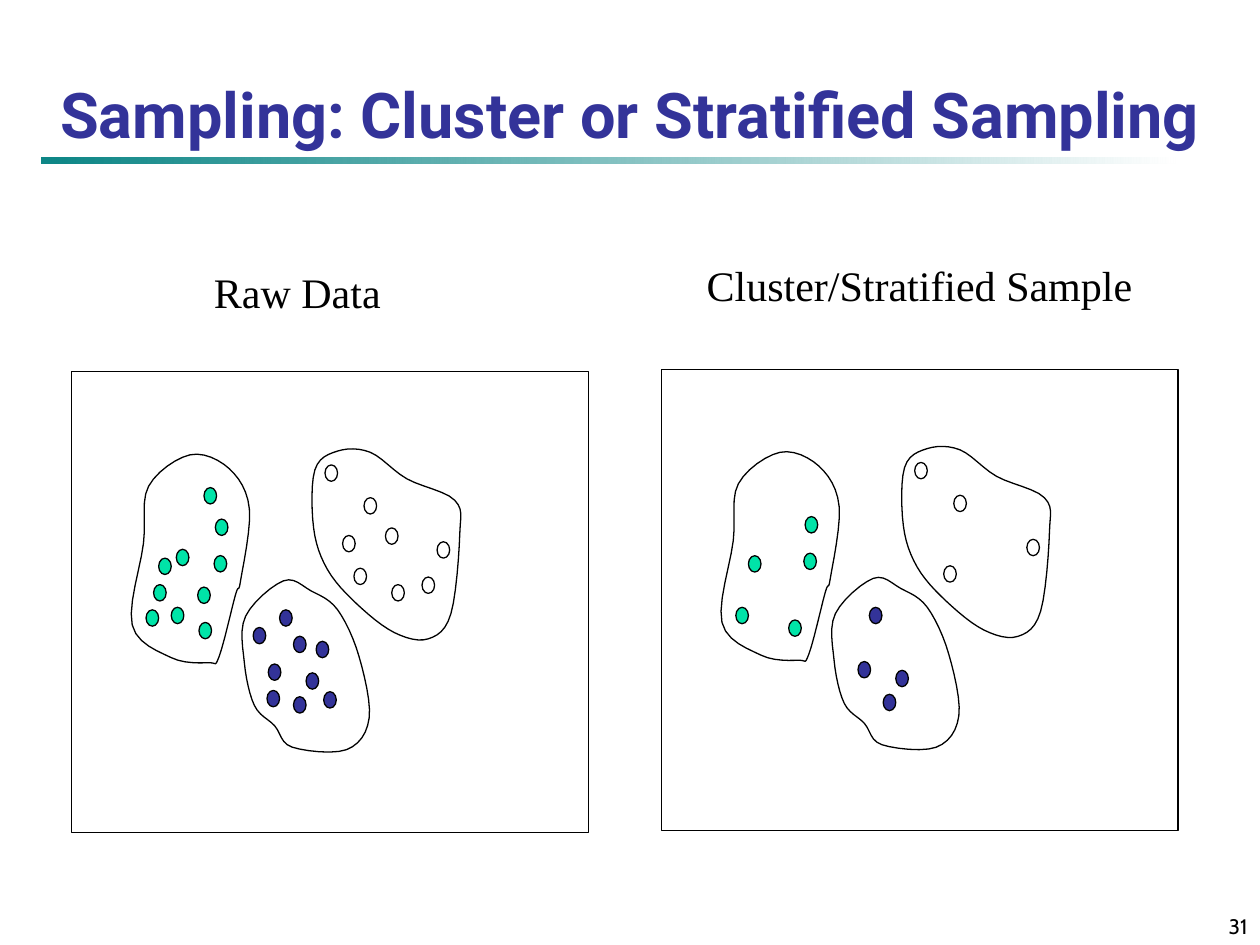
from lxml import etree
from pptx import Presentation
from pptx.dml.color import RGBColor
from pptx.enum.shapes import MSO_SHAPE
from pptx.enum.text import MSO_ANCHOR, PP_ALIGN
from pptx.oxml.ns import qn
from pptx.util import Pt

RECTANGLE = MSO_SHAPE.RECTANGLE
DOT = MSO_SHAPE.FLOWCHART_CONNECTOR
BOTTOM, TOP = MSO_ANCHOR.BOTTOM, MSO_ANCHOR.TOP
LEFT, CENTER, RIGHT = PP_ALIGN.LEFT, PP_ALIGN.CENTER, PP_ALIGN.RIGHT

COLORS = {
    "title": "333399",
    "rule": "008080",
    "white": "FFFFFF",
    "black": "000000",
    "blue": "333399",
    "green": "00E4A8",
}

PANEL_WIDTH, PANEL_HEIGHT = 295.2, 263.52
GRID_COLUMNS = 410
DOT_COLUMNS, DOT_ROWS = 10, 13
CURVE_STEPS = 6

CLUSTERS = [
    {
        "color": "white",
        "sampled": [(232, 100), (224, 156), (290, 135), (201, 74)],
        "unsampled": [(249, 124), (215, 130), (278, 163), (254, 169)],
        "outline": [(304, 102), (308, 129), (301, 192), (283, 212), (256, 207),
                    (226, 184), (203, 157), (192, 124), (193, 78), (211, 63),
                    (237, 64), (266, 85)],
    },
    {
        "color": "blue",
        "sampled": [(176, 258), (186, 239), (156, 232), (165, 189)],
        "unsampled": [(144, 203), (194, 214), (155, 253), (176, 210), (200, 254)],
        "outline": [(161, 281), (145, 265), (137, 231), (138, 194), (168, 166),
                    (190, 174), (211, 189), (228, 226), (236, 275), (218, 300),
                    (175, 298)],
    },
    {
        "color": "green",
        "sampled": [(59, 189), (69, 148), (101, 199), (113, 146), (114, 117)],
        "unsampled": [(79, 187), (65, 169), (100, 171), (83, 141), (105, 92)],
        "outline": [(130, 177), (117, 226), (109, 231), (79, 227), (48, 201),
                    (57, 136), (61, 91), (94, 66), (125, 77), (141, 109),
                    (134, 166)],
    },
]


def color(name):
    return RGBColor.from_string(COLORS[name])


def style_shape(shape, fill=None):
    shape.shadow.inherit = False
    if fill:
        shape.fill.solid()
        shape.fill.fore_color.rgb = color(fill)
    else:
        shape.fill.background()
    shape.line.color.rgb = color("black")
    shape.line.width = Pt(0.75)


def add_text(slide, box, text, font_name, size, color_name="black",
             alignment=LEFT, anchor=TOP, bold=False, wrap=True):
    frame = slide.shapes.add_textbox(*map(Pt, box)).text_frame
    frame.word_wrap = wrap
    frame.vertical_anchor = anchor
    paragraph = frame.paragraphs[0]
    paragraph.text = text
    paragraph.alignment = alignment
    paragraph.font.name = font_name
    paragraph.font.size = Pt(size)
    paragraph.font.bold = bold
    paragraph.font.color.rgb = color(color_name)


def spline(before, start, end, after, t):
    return start + t / 2 * (
        end - before
        + t * (2 * before - 5 * start + 4 * end - after)
        + t * t * (3 * (start - end) + after - before)
    )


def smooth_outline(anchors):
    count = len(anchors)
    points = []
    for index in range(count):
        nearby = [anchors[(index + shift) % count] for shift in range(-1, 3)]
        for step in range(CURVE_STEPS):
            points.append(tuple(
                spline(*values, step / CURVE_STEPS) for values in zip(*nearby)))
    return points


def add_title(slide, left, top, width, height):
    rule = slide.shapes.add_shape(
        RECTANGLE, Pt(left + 6), Pt(top + height), Pt(648), Pt(3.6))
    rule.shadow.inherit = False
    rule.line.fill.background()
    rule.fill.gradient()
    rule.fill.gradient_angle = 0
    for stop, name in zip(rule.fill.gradient_stops, ("rule", "white")):
        stop.color.rgb = color(name)
    first_color = next(rule.element.spPr.iter(qn("a:srgbClr")))
    etree.SubElement(first_color, qn("a:alpha"), val="95000")
    add_text(slide, (left, top, width, height),
             "Sampling: Cluster or Stratified Sampling", "Roboto", 36,
             "title", CENTER, BOTTOM, bold=True)


def add_panel(slide, left, top, sampled_only):
    unit = PANEL_WIDTH / GRID_COLUMNS

    def place(point):
        return Pt(left + point[0] * unit), Pt(top + point[1] * unit)

    frame = slide.shapes.add_shape(
        RECTANGLE, Pt(left), Pt(top), Pt(PANEL_WIDTH), Pt(PANEL_HEIGHT))
    style_shape(frame)
    for cluster in CLUSTERS:
        dots = cluster["sampled"] + ([] if sampled_only else cluster["unsampled"])
        for dot in dots:
            shape = slide.shapes.add_shape(
                DOT, *place(dot), Pt(DOT_COLUMNS * unit), Pt(DOT_ROWS * unit))
            style_shape(shape, cluster["color"])
        points = [place(point) for point in smooth_outline(cluster["outline"])]
        builder = slide.shapes.build_freeform(*points[0])
        builder.add_line_segments(points[1:], close=True)
        style_shape(builder.convert_to_shape())


def main():
    presentation = Presentation()
    presentation.slide_width = Pt(720)
    presentation.slide_height = Pt(540)
    slide = presentation.slides.add_slide(presentation.slide_layouts[6])
    add_title(slide, 18, 24, 684, 66)
    add_panel(slide, 41, 212.4, sampled_only=False)
    add_panel(slide, 378, 211, sampled_only=True)
    for box, text in (
        ((115.2, 149, 115.2, 36), "Raw Data"),
        ((396.7, 144.7, 257.8, 36), "Cluster/Stratified Sample"),
    ):
        add_text(slide, box, text, "Times New Roman", 24, wrap=False)
    add_text(slide, (570, 510, 150, 30), "31", "Cabin", 12,
             alignment=RIGHT, anchor=BOTTOM)
    presentation.save("out.pptx")


if __name__ == "__main__":
    main()
